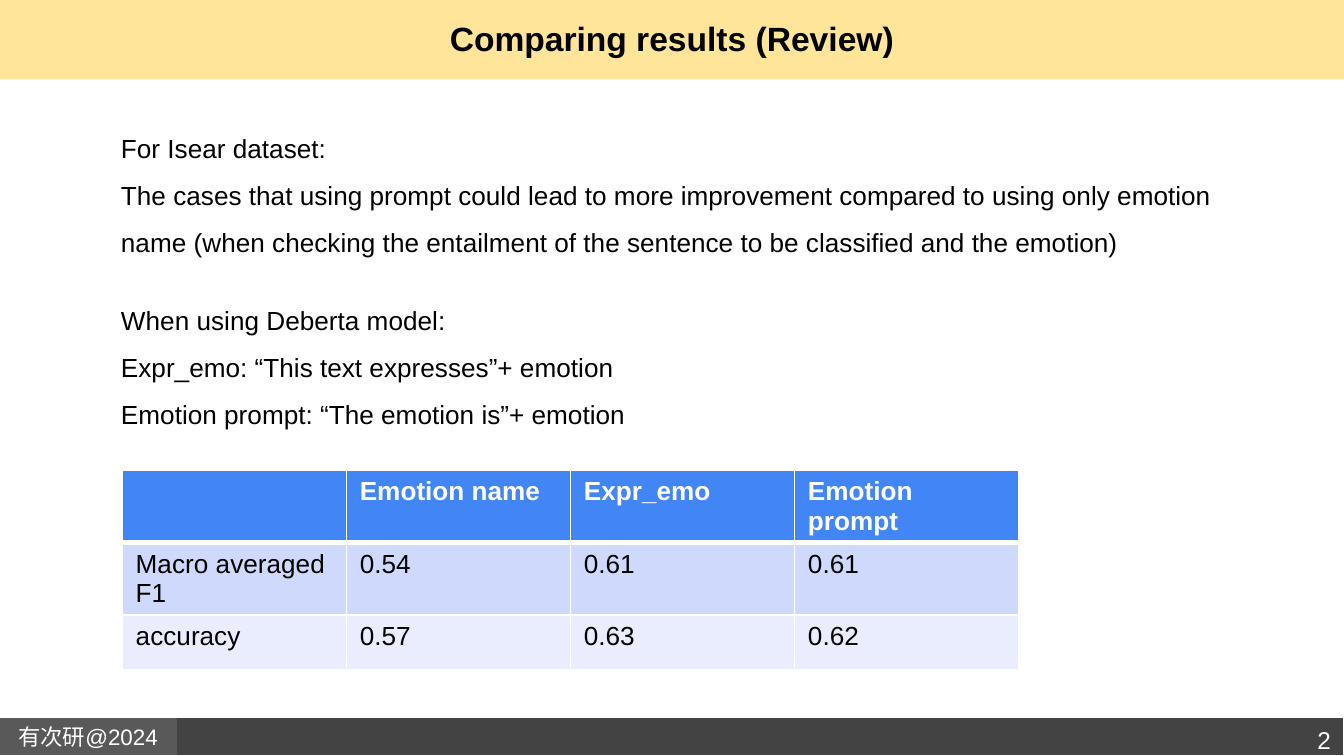
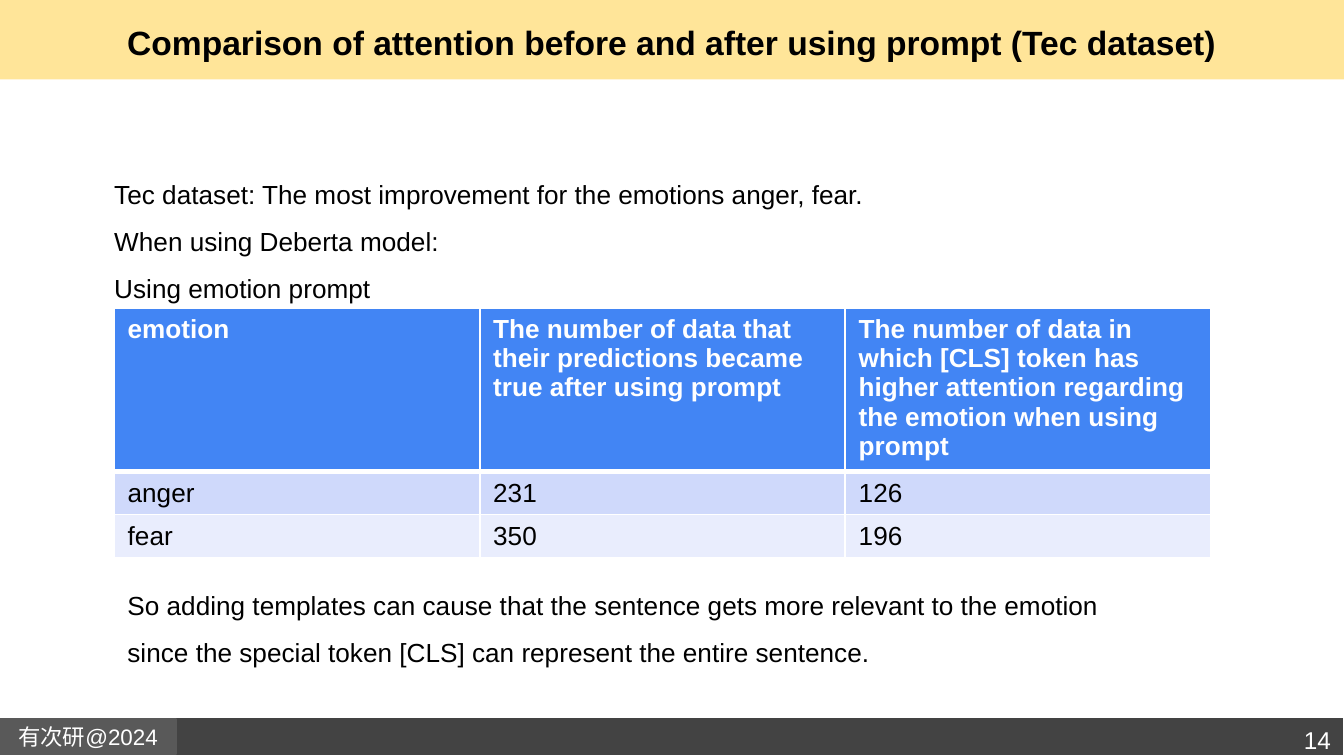
"""Build two result slides on emotion prompts with shared bands and footer."""
from lxml.etree import SubElement
from pptx import Presentation
from pptx.dml.color import RGBColor
from pptx.enum.shapes import MSO_SHAPE
from pptx.enum.text import MSO_ANCHOR, MSO_AUTO_SIZE, PP_ALIGN
from pptx.oxml.ns import qn
from pptx.util import Inches, Pt

FONT = "Arial"
COLORS = {
    "black": "000000", "white": "FFFFFF", "title_band": "FFE599",
    "footer": "434343", "tag": "595959", "header": "4285F4",
    "row_dark": "CFD9FB", "row_light": "E9EDFD",
}
BANDS = [
    {"at": (0, 0, 10, 0.59), "fill": "title_band", "line": None, "text": ""},
    {"at": (0, 5.34, 10, 0.28), "fill": "footer", "line": "white", "text": ""},
    {"at": (0, 5.35, 1.31, 0.26), "fill": "tag", "line": "tag", "text": "有次研@2024"},
]
SLIDES = [
    {
        "title": "Comparing results (Review)",
        "title_height": 0.56,
        "page": "2",
        "body_at": (0.8, 0.82, 8.74, 3.64),
        "groups": [
            ["For Isear dataset:",
             "The cases that using prompt could lead to more improvement compared to "
             "using only emotion name (when checking the entailment of the sentence "
             "to be classified and the emotion)"],
            ["When using Deberta model:",
             "Expr_emo: “This text expresses”+ emotion",
             "Emotion prompt: “The emotion is”+ emotion"],
        ],
        "table_at": (0.91, 3.5, 6.67, 1.54),
        "row_heights": (0.41, 0.41, 0.41),
        "rows": [
            ("", "Emotion name", "Expr_emo", "Emotion prompt"),
            ("Macro averaged F1", "0.54", "0.61", "0.61"),
            ("accuracy", "0.57", "0.63", "0.62"),
        ],
    },
    {
        "title": "Comparison of attention before and after using prompt (Tec dataset)",
        "title_height": 0.63,
        "page": "14",
        "body_at": (0.75, 1.16, 8.2, 1.99),
        "groups": [
            ["Tec dataset: The most improvement for the emotions anger, fear.",
             "When using Deberta model:",
             "Using emotion prompt"],
        ],
        "table_at": (0.85, 2.29, 8.16, 1.93),
        "row_heights": (1.22, 0.24, 0.24),
        "rows": [
            ("emotion",
             "The number of data that their predictions became true after using prompt",
             "The number of data in which [CLS] token has higher attention regarding "
             "the emotion when using prompt"),
            ("anger", "231", "126"),
            ("fear", "350", "196"),
        ],
        "conclusion_at": (0.85, 4.22, 7.64, 0.81),
        "conclusion": "So adding templates can cause that the sentence gets more relevant "
                      "to the emotion since the special token [CLS] can represent the "
                      "entire sentence.",
    },
]


def rgb(name):
    return RGBColor.from_string(COLORS[name])


def place(sp, at):
    sp.left, sp.top, sp.width, sp.height = map(Inches, at)


def style(p, size, color="black", bold=False, align=PP_ALIGN.LEFT):
    p.alignment = align
    p.font.name, p.font.size, p.font.bold = FONT, Pt(size), bold
    p.font.color.rgb = rgb(color)


def set_frame(tf, anchor=MSO_ANCHOR.TOP, inset=None):
    tf.word_wrap = True
    tf.auto_size = MSO_AUTO_SIZE.NONE
    tf.vertical_anchor = anchor
    if inset is not None:
        tf.margin_left = tf.margin_top = tf.margin_right = tf.margin_bottom = Inches(inset)


def add_band(s, band):
    sp = s.shapes.add_shape(MSO_SHAPE.RECTANGLE, *map(Inches, band["at"]))
    sp.shadow.inherit = False
    sp.fill.solid()
    sp.fill.fore_color.rgb = rgb(band["fill"])
    if band["line"]:
        sp.line.color.rgb = rgb(band["line"])
        sp.line.width = Pt(0.75)
    else:
        sp.line.fill.background()
    if band["text"]:
        set_frame(sp.text_frame, MSO_ANCHOR.MIDDLE, 0.1)
        sp.text_frame.text = band["text"]
        style(sp.text_frame.paragraphs[0], 12, "white", align=PP_ALIGN.CENTER)
    return sp


def add_bands_to_layout(s):
    layout = s.slide_layout
    for ph in list(layout.placeholders)[2:]:
        layout.shapes.element.remove(ph.element)
    for sp in [add_band(s, band) for band in BANDS]:
        layout.shapes.element.append(sp.element)


def fill_title(s, text, height):
    sp = s.shapes.title
    place(sp, (0.34, 0, 9.32, height))
    set_frame(sp.text_frame, MSO_ANCHOR.MIDDLE, 0.1)
    sp.text_frame.text = text
    style(sp.text_frame.paragraphs[0], 18, bold=True, align=PP_ALIGN.CENTER)


def style_body(p):
    style(p, 14)
    p.line_spacing = 1.5
    p.space_before = Pt(0)


def fill_body(s, groups, at):
    sp = s.placeholders[1]
    place(sp, at)
    tf = sp.text_frame
    set_frame(tf)
    tf.text = "\n".join(line for group in groups for line in group)
    starts = [sum(map(len, groups[:i])) for i in range(1, len(groups))]
    for i, p in enumerate(tf.paragraphs):
        style_body(p)
        if i in starts:
            p.space_before = Pt(16.5)
        pPr = p._p.get_or_add_pPr()
        pPr.set("marL", "0")
        pPr.set("indent", "0")
        pPr.insert_element_before(pPr.makeelement(qn("a:buNone")), "a:tabLst", "a:defRPr")


def add_text(s, text, at, inset=None):
    sp = s.shapes.add_textbox(*map(Inches, at))
    set_frame(sp.text_frame, inset=inset)
    sp.text_frame.text = text
    return sp.text_frame.paragraphs[0]


def set_borders(cell, top, bottom):
    tcPr = cell._tc.get_or_add_tcPr()
    for side, width in (("L", 1), ("R", 1), ("T", top), ("B", bottom)):
        ln = SubElement(tcPr, qn(f"a:ln{side}"), w=str(Pt(width)))
        SubElement(SubElement(ln, qn("a:solidFill")), qn("a:srgbClr"), val=COLORS["white"])


def add_results(s, rows, heights, at):
    frame = s.shapes.add_table(len(rows), len(rows[0]), *map(Inches, at))
    table = frame.table
    for i, (row, height) in enumerate(zip(rows, heights)):
        table.rows[i].height = Inches(height)
        header = i == 0
        fill = "header" if header else ("row_light", "row_dark")[i % 2]
        for j, text in enumerate(row):
            cell = table.cell(i, j)
            set_borders(cell, 3 if i == 1 else 1, 3 if header else 1)
            cell.fill.solid()
            cell.fill.fore_color.rgb = rgb(fill)
            cell.text = text
            style(cell.text_frame.paragraphs[0], 14, "white" if header else "black", header)
    place(frame, at)


def main():
    prs = Presentation()
    prs.slide_width, prs.slide_height = Inches(10), Inches(10 * 9 / 16)
    for i, data in enumerate(SLIDES):
        s = prs.slides.add_slide(prs.slide_layouts[1])
        if i == 0:
            add_bands_to_layout(s)
        fill_title(s, data["title"], data["title_height"])
        p = add_text(s, data["page"], (8.95, 5.3, 1.05, 0.37), 0.1)
        style(p, 13, "white", align=PP_ALIGN.RIGHT)
        fill_body(s, data["groups"], data["body_at"])
        add_results(s, data["rows"], data["row_heights"], data["table_at"])
        if "conclusion" in data:
            style_body(add_text(s, data["conclusion"], data["conclusion_at"]))
    prs.save("out.pptx")


if __name__ == "__main__":
    main()
